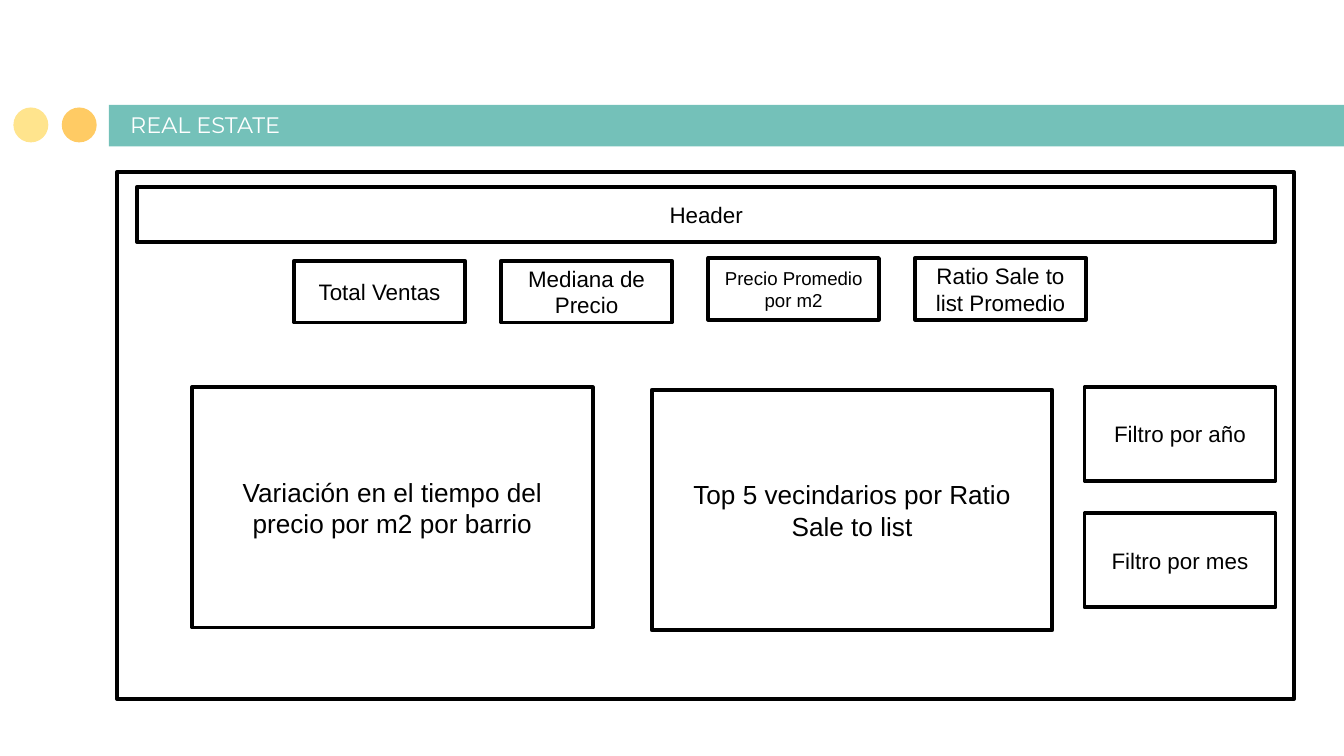
from pptx import Presentation
from pptx import util as u
from pptx.dml.color import RGBColor
from pptx.enum import shapes, text

COLORS = {
    "teal": "74C1B9",
    "amber": "FFCB64",
    "yellow": "FFE48D",
    "ink": "000000",
    "white": "FFFFFF",
}
SHAPE = shapes.MSO_SHAPE


def color(name):
    return RGBColor.from_string(COLORS[name])


def place(left, top, width, height):
    return [u.Inches(value) for value in (left, top, width, height)]


def write(box, words, size, font, ink, align, frame_format):
    frame = box.text_frame
    for name, value in frame_format.items():
        setattr(frame, name, value)
    para = frame.paragraphs[0]
    para.alignment = align
    span = para.add_run()
    span.text = words
    for name, value in {"name": font, "size": u.Pt(size)}.items():
        setattr(span.font, name, value)
    span.font.color.rgb = color(ink)


def add_solid(page, kind, area, fill):
    shape = page.shapes.add_shape(kind, *place(*area))
    shape.shadow.inherit = False
    shape.fill.solid()
    shape.fill.fore_color.rgb = color(fill)
    shape.line.fill.background()


def add_panel(page, area, words=None, size=12):
    panel = page.shapes.add_shape(SHAPE.RECTANGLE, *place(*area))
    panel.shadow.inherit = False
    panel.fill.background()
    panel.line.color.rgb = color("ink")
    panel.line.width = u.Pt(2)
    if words:
        frame_format = {"word_wrap": True, "vertical_anchor": text.MSO_ANCHOR.MIDDLE}
        write(panel, words, size, "Arial", "ink", text.PP_ALIGN.CENTER, frame_format)


def add_title(page, words):
    box = page.shapes.add_textbox(*place(0.87, 0.79, 5.48, 0.34))
    frame_format = {"word_wrap": True, "vertical_anchor": text.MSO_ANCHOR.BOTTOM}
    for side in ("left", "top", "right", "bottom"):
        frame_format[f"margin_{side}"] = u.Inches(0.1)
    write(box, words, 12, "Montserrat", "white", text.PP_ALIGN.LEFT, frame_format)


def add_banner(page):
    add_solid(page, SHAPE.RECTANGLE, (0.81, 0.78, 9.5, 0.31), "teal")
    for left, fill in ((0.46, "amber"), (0.1, "yellow")):
        add_solid(page, SHAPE.OVAL, (left, 0.8, 0.26, 0.26), fill)
    add_title(page, "REAL ESTATE")


def add_dashboard(page):
    add_panel(page, (0.87, 1.28, 8.76, 3.92))
    add_panel(page, (1.02, 1.39, 8.47, 0.41), "Header")

    indicators = [
        ("Total Ventas", 1.94, 12),
        ("Mediana de Precio", 1.94, 12),
        ("Precio Promedio por m2", 1.92, 10),
        ("Ratio Sale to list Promedio", 1.92, 12),
    ]
    for column, (words, top, size) in enumerate(indicators):
        add_panel(page, (2.19 + 1.54 * column, top, 1.27, 0.46), words, size)

    for row, words in enumerate(("Filtro por año", "Filtro por mes")):
        add_panel(page, (8.07, 2.88 + 0.94 * row, 1.42, 0.7), words)

    charts = [
        ("Variación en el tiempo del precio por m2 por barrio", 1.43, 2.88),
        ("Top 5 vecindarios por Ratio Sale to list", 4.85, 2.9),
    ]
    for words, left, top in charts:
        add_panel(page, (left, top, 2.98, 1.79), words, 14)


def main():
    deck = Presentation()
    deck.slide_width = u.Inches(10)
    deck.slide_height = u.Inches(10 * 9 / 16)
    page = deck.slides.add_slide(deck.slide_layouts[6])
    add_banner(page)
    add_dashboard(page)
    deck.save("out.pptx")


if __name__ == "__main__":
    main()
